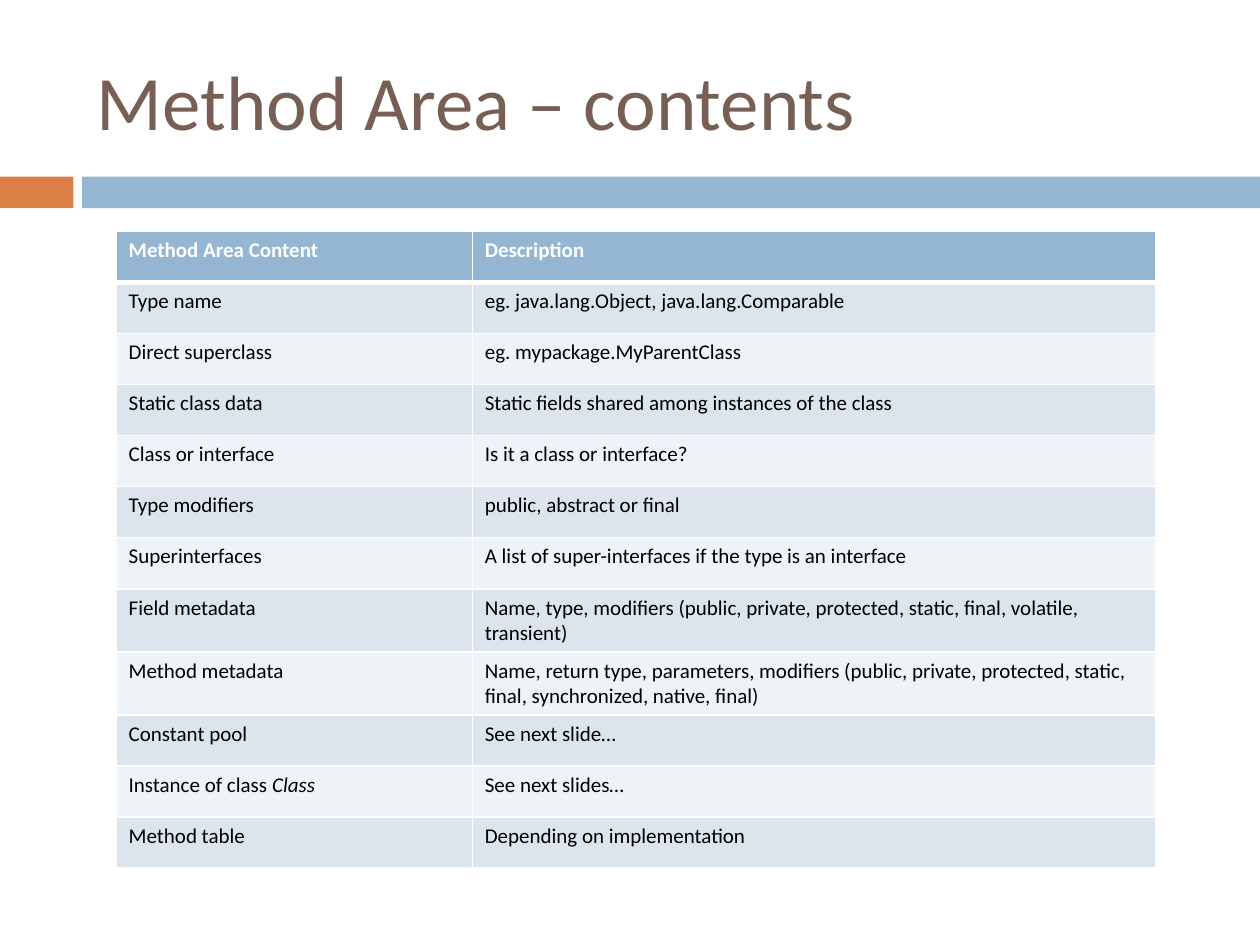
import pptx
import pptx.util
import pptx.dml.color
import pptx.enum.shapes
import pptx.enum.text
import pptx.oxml.ns
import lxml.etree

Cm = pptx.util.Cm
Pt = pptx.util.Pt
RGBColor = pptx.dml.color.RGBColor

ORANGE = RGBColor(0xDD, 0x80, 0x47)
BLUE = RGBColor(0x94, 0xB6, 0xD2)
BROWN = RGBColor(0x77, 0x5F, 0x55)
DARK_BAND = RGBColor(0xDC, 0xE5, 0xEE)
LIGHT_BAND = RGBColor(0xEE, 0xF3, 0xF7)
WHITE = RGBColor(0xFF, 0xFF, 0xFF)
BLACK = RGBColor(0, 0, 0)
FONT = "Calibri"

ROWS = [
    ("Method Area Content", "Description"),
    ("Type name", "eg. java.lang.Object, java.lang.Comparable"),
    ("Direct superclass", "eg. mypackage.MyParentClass"),
    ("Static class data", "Static fields shared among instances of the class"),
    ("Class or interface", "Is it a class or interface?"),
    ("Type modifiers", "public, abstract or final"),
    ("Superinterfaces", "A list of super-interfaces if the type is an interface"),
    ("Field metadata", "Name, type, modifiers (public, private, protected, static, final, volatile, transient)"),
    ("Method metadata", "Name, return type, parameters, modifiers (public, private, protected, static, final, synchronized, native, final)"),
    ("Constant pool", "See next slide…"),
    ("Instance of class *Class", "See next slides…"),
    ("Method table", "Depending on implementation"),
]


def add_run(paragraph, text, size, color, bold=False, italic=False):
    run = paragraph.add_run()
    run.text = text
    run.font.name = FONT
    run.font.size = Pt(size)
    run.font.color.rgb = color
    run.font.bold = bold
    run.font.italic = italic


def add_border(cell, side, width):
    properties = cell._tc.get_or_add_tcPr()
    line = lxml.etree.SubElement(properties, pptx.oxml.ns.qn("a:ln" + side), w=str(Pt(width)))
    fill = lxml.etree.SubElement(line, pptx.oxml.ns.qn("a:solidFill"))
    lxml.etree.SubElement(fill, pptx.oxml.ns.qn("a:srgbClr"), val=str(WHITE))


presentation = pptx.Presentation()
presentation.slide_width = Cm(25.4)
presentation.slide_height = Cm(19.05)
slide = presentation.slides.add_slide(presentation.slide_layouts[6])

for left, width, color in ((0, 1.48, ORANGE), (1.65, 23.75, BLUE)):
    bar = slide.shapes.add_shape(
        pptx.enum.shapes.MSO_SHAPE.RECTANGLE, Cm(left), Cm(3.56), Cm(width), Cm(0.64))
    bar.shadow.inherit = False
    bar.fill.solid()
    bar.fill.fore_color.rgb = color
    bar.line.fill.background()

title = slide.shapes.add_textbox(Cm(1.7), Cm(0.64), Cm(22.66), Cm(2.74))
title.text_frame.word_wrap = True
title.text_frame.vertical_anchor = pptx.enum.text.MSO_ANCHOR.MIDDLE
add_run(title.text_frame.paragraphs[0], "Method Area – contents", 44, BROWN)

table = slide.shapes.add_table(
    len(ROWS), 2, Cm(2.34), Cm(4.66), Cm(20.95), Cm(12.36)).table
table.columns[0].width = Cm(7.18)
table.columns[1].width = Cm(13.77)

for row_index, texts in enumerate(ROWS):
    table.rows[row_index].height = Cm(1.03)
    header = row_index == 0
    band = BLUE if header else DARK_BAND if row_index % 2 else LIGHT_BAND
    for column_index, text in enumerate(texts):
        cell = table.cell(row_index, column_index)
        for side in "LR":
            add_border(cell, side, 1)
        add_border(cell, "T", 3 if row_index == 1 else 1)
        add_border(cell, "B", 3 if header else 1)
        cell.fill.solid()
        cell.fill.fore_color.rgb = band
        for part_index, part in enumerate(text.split("*")):
            add_run(cell.text_frame.paragraphs[0], part, 12,
                    WHITE if header else BLACK, header, part_index == 1)

presentation.save("out.pptx")
